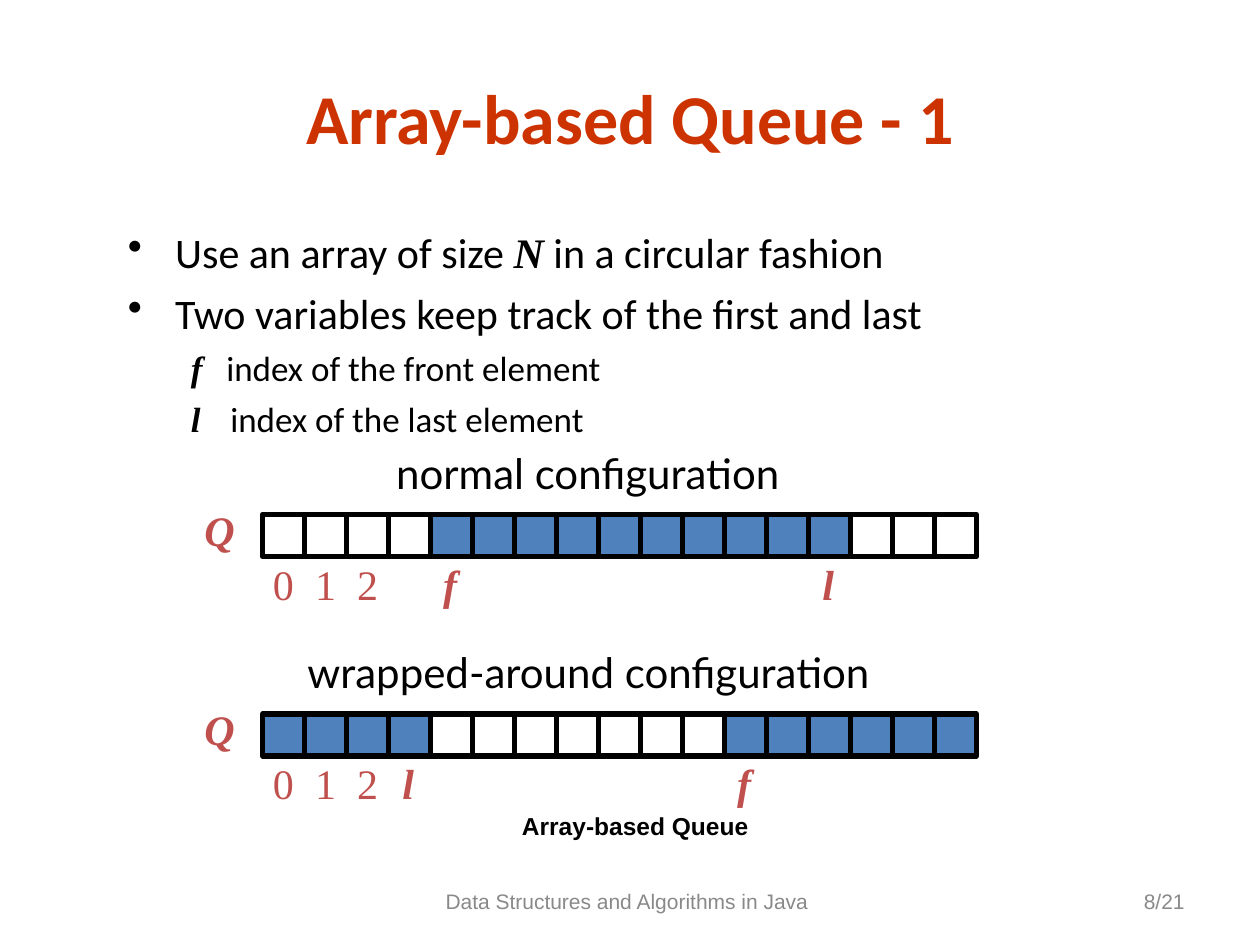
from dataclasses import dataclass
from typing import Optional

from lxml.etree import SubElement
from pptx import Presentation
from pptx.dml.color import RGBColor
from pptx.enum.shapes import MSO_SHAPE as Preset
from pptx.enum.text import MSO_ANCHOR as Anchor, MSO_AUTO_SIZE as AutoSize, PP_ALIGN as Align
from pptx.oxml.ns import qn
from pptx.util import Pt


@dataclass(frozen=True)
class Font:
    name: str
    size: float
    color: str
    bold: bool = False
    italic: bool = False


@dataclass(frozen=True)
class Theme:
    black: str = "000000"
    empty: str = "FFFFFF"
    filled: str = "4F81BD"
    title: Font = Font("Calibri", 40, "CC3300", bold=True)
    bullet: Font = Font("Calibri", 24, "000000")
    detail: Font = Font("Calibri", 20, "000000")
    heading: Font = Font("Lato", 24, "000000")
    number: Font = Font("Times New Roman", 24, "C0504D")
    variable: Font = Font("Times New Roman", 24, "C0504D", bold=True, italic=True)
    caption: Font = Font("Arial", 14, "000000", bold=True)
    footer: Font = Font("Arial", 12, "898989")
    symbol: str = "Times New Roman"


@dataclass(frozen=True)
class Area:
    left: float
    top: float
    width: float
    height: float

    def lengths(self) -> tuple:
        return Pt(self.left), Pt(self.top), Pt(self.width), Pt(self.height)


@dataclass(frozen=True)
class Label:
    text: str
    area: Area
    font: Font
    align: Align = Align.CENTER
    anchor: Anchor = Anchor.TOP
    inset: bool = False
    wrap: bool = True
    space_before: float = 0


@dataclass(frozen=True)
class Point:
    spans: tuple
    font: Font
    indent: float
    hanging: float
    space_before: float
    level: int = 0
    bullet: Optional[str] = None


@dataclass(frozen=True)
class Queue:
    heading: str
    heading_left: float
    heading_width: float
    top: float
    front: int
    last: int


THEME = Theme()
CELL = 24
CELL_COUNT = 17
ARRAY_LEFT = 150

POINTS = (
    Point(("Use an array of size ", "*N", " in a circular fashion"), THEME.bullet, 27, 27, 6, bullet="•"),
    Point(("Two variables keep track of the first and last",), THEME.bullet, 27, 27, 6, bullet="•"),
    Point(("*f", "   index of the front element"), THEME.detail, 58.5, 22.5, 5, level=1),
    Point(("*l\t", "index of the last element"), THEME.detail, 58.5, 22.5, 5, level=1),
)
QUEUES = (
    Queue("normal configuration", 208.8, 254.2, 294, front=4, last=9 + 4),
    Queue("wrapped-around configuration", 154.8, 362.9, 408, front=11, last=3),
)
LABELS = (
    Label("Array-based Queue", Area(192, 460, 342, 24.5), THEME.caption, inset=True, space_before=8.8),
    Label("Data Structures and Algorithms in Java ", Area(228, 500.5, 264, 28.75), THEME.footer,
          anchor=Anchor.MIDDLE, inset=True),
    Label("8/21", Area(516, 500.5, 168, 28.75), THEME.footer, Align.RIGHT, Anchor.MIDDLE, inset=True),
)


def apply_font(target, font: Font) -> None:
    target.name = font.name
    target.size = Pt(font.size)
    target.bold = font.bold
    target.italic = font.italic
    target.color.rgb = RGBColor.from_string(font.color)


def add_label(shapes, label: Label) -> None:
    frame = shapes.add_textbox(*label.area.lengths()).text_frame
    frame.word_wrap = label.wrap
    frame.vertical_anchor = label.anchor
    if not label.inset:
        frame.margin_left = frame.margin_right = frame.margin_top = frame.margin_bottom = 0
    para = frame.paragraphs[0]
    para.text = label.text
    para.alignment = label.align
    para.space_before = Pt(label.space_before)
    apply_font(para.font, label.font)


def add_cell(shapes, index: int, top: float, color: str) -> None:
    area = Area(ARRAY_LEFT + index * CELL, top, CELL, CELL)
    cell = shapes.add_shape(Preset.RECTANGLE, *area.lengths())
    cell.shadow.inherit = False
    cell.fill.solid()
    cell.fill.fore_color.rgb = RGBColor.from_string(color)
    cell.line.color.rgb = RGBColor.from_string(THEME.black)
    cell.line.width = Pt(3)


def is_filled(queue: Queue, index: int) -> bool:
    return (index - queue.front) % CELL_COUNT <= (queue.last - queue.front) % CELL_COUNT


def add_queue(page, queue: Queue) -> None:
    shapes = page.shapes.add_group_shape().shapes
    label_top = queue.top + CELL + 1
    add_label(shapes, Label("Q", Area(114, queue.top - 6, 23, 29), THEME.variable))
    for index in range(3):
        area = Area(ARRAY_LEFT + index * CELL + 6, label_top, 12, 29)
        add_label(shapes, Label(str(index), area, THEME.number, Align.LEFT, wrap=False))
    for name, index in (("f", queue.front), ("l", queue.last)):
        area = Area(ARRAY_LEFT + index * CELL, label_top, 22.5, 29)
        add_label(shapes, Label(name, area, THEME.variable))
    for index in range(CELL_COUNT):
        add_cell(shapes, index, queue.top, THEME.filled if is_filled(queue, index) else THEME.empty)
    area = Area(queue.heading_left, queue.top - 42, queue.heading_width, 36)
    add_label(shapes, Label(queue.heading, area, THEME.heading, inset=True, wrap=False))


def add_points(page, area: Area) -> None:
    frame = page.shapes.add_textbox(*area.lengths()).text_frame
    frame.word_wrap = True
    for number, point in enumerate(POINTS):
        para = frame.add_paragraph() if number else frame.paragraphs[0]
        para.level = point.level
        para.space_before = Pt(point.space_before)
        apply_font(para.font, point.font)
        for text in point.spans:
            span = para.add_run()
            span.text = text.lstrip("*")
            apply_font(span.font, point.font)
            if text.startswith("*"):
                span.font.name = THEME.symbol
                span.font.bold = span.font.italic = True
        properties = para._p.get_or_add_pPr()
        properties.set("marL", str(Pt(point.indent)))
        properties.set("indent", str(-Pt(point.hanging)))
        if point.bullet:
            bullet = SubElement(properties, qn("a:buChar"), char=point.bullet)
            properties.find(qn("a:defRPr")).addprevious(bullet)


def add_title(page, text: str, area: Area) -> None:
    title = page.shapes.title
    title.left, title.top, title.width, title.height = area.lengths()
    frame = title.text_frame
    frame.auto_size = AutoSize.NONE
    frame.vertical_anchor = Anchor.MIDDLE
    para = frame.paragraphs[0]
    para.text = text
    para.alignment = Align.CENTER
    apply_font(para.font, THEME.title)


def main() -> None:
    deck = Presentation()
    deck.slide_width, deck.slide_height = Pt(720), Pt(540)
    page = deck.slides.add_slide(deck.slide_layouts.get_by_name("Title Only"))
    add_title(page, "Array-based Queue - 1", Area(36, 39, 648, 55.5))
    add_points(page, Area(66, 126, 588, 150))
    for queue in QUEUES:
        add_queue(page, queue)
    for label in LABELS:
        add_label(page.shapes, label)
    deck.save("out.pptx")


if __name__ == "__main__":
    main()
